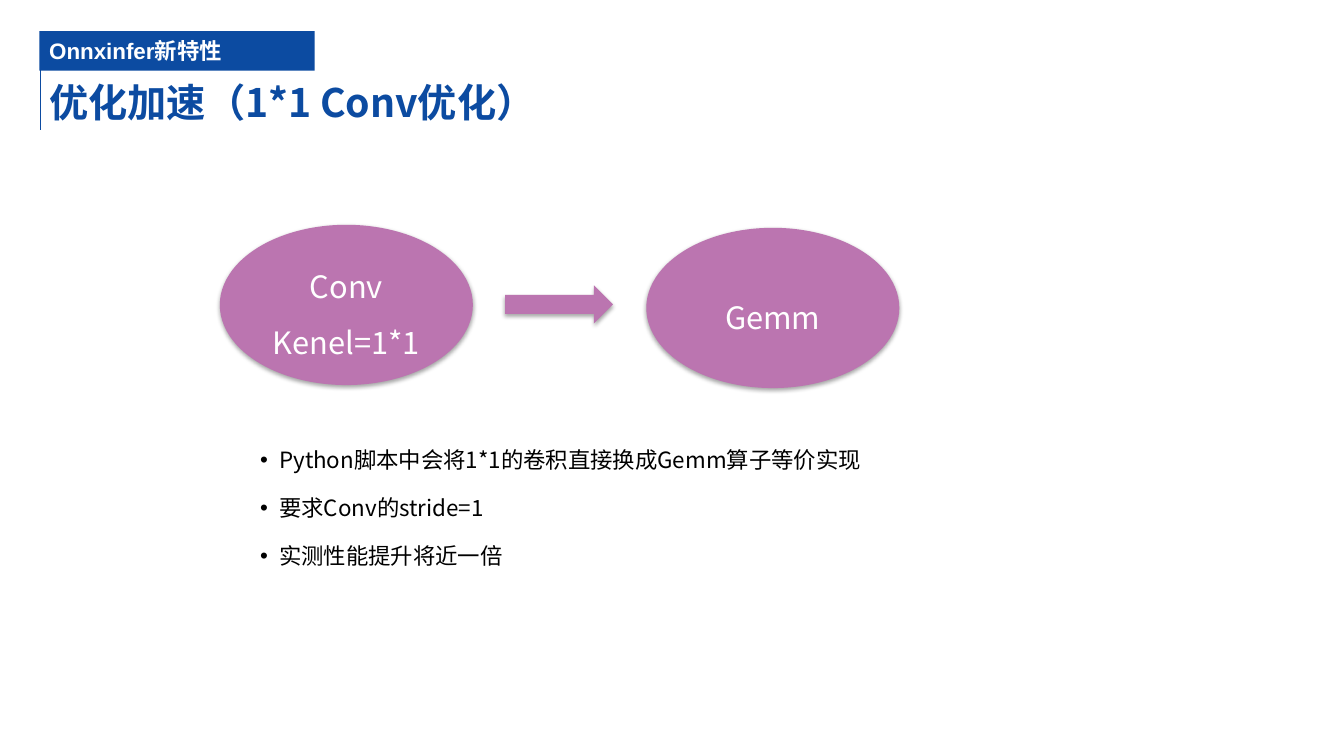
import pptx
import pptx.util
import pptx.dml.color
import pptx.enum.shapes
import pptx.enum.text
import pptx.oxml
import pptx.oxml.ns

BLUE, MAUVE, WHITE, BLACK = "0C4BA1", "BB75B0", "FFFFFF", "000000"
NOTO = "Noto Sans CJK SC"
KIND = pptx.enum.shapes.MSO_SHAPE
ALIGN = pptx.enum.text.PP_ALIGN
NS = pptx.oxml.ns.nsdecls("a")
SHADOW = (
    f'<a:effectLst {NS}><a:outerShdw blurRad="39370" dist="22860" dir="5400000" '
    'rotWithShape="0"><a:srgbClr val="000000"><a:alpha val="35000"/></a:srgbClr>'
    '</a:outerShdw></a:effectLst>'
)


def px(n):
    return pptx.util.Emu(n * 9144)


def color(code):
    return pptx.dml.color.RGBColor.from_string(code)


def place(shape, box):
    shape.left, shape.top, shape.width, shape.height = map(px, box)


def write(shape, lines, size, tint, bold=False, face=NOTO, align=ALIGN.LEFT,
          inset=(10, 5, 10, 5)):
    frame = shape.text_frame
    frame.text = "\n".join(lines)
    frame.word_wrap = True
    frame.auto_size = pptx.enum.text.MSO_AUTO_SIZE.NONE
    frame.vertical_anchor = pptx.enum.text.MSO_ANCHOR.MIDDLE
    (frame.margin_left, frame.margin_top,
     frame.margin_right, frame.margin_bottom) = map(px, inset)
    for para in frame.paragraphs:
        para.alignment = align
        for run in para.runs:
            font = run.font
            font.size = pptx.util.Pt(size)
            font.bold = bold
            font.name = face
            font.color.rgb = color(tint)
            font._element.find(pptx.oxml.ns.qn("a:latin")).addnext(
                pptx.oxml.parse_xml(f'<a:ea {NS} typeface="{NOTO}"/>'))
    return frame.paragraphs


def solid(slide, kind, box, fill, shade=False):
    shape = slide.shapes.add_shape(kind, *map(px, box))
    shape.fill.solid()
    shape.fill.fore_color.rgb = color(fill)
    shape.line.fill.background()
    if shade:
        shape._element.spPr.append(pptx.oxml.parse_xml(SHADOW))
    else:
        shape.shadow.inherit = False
    return shape


def header(slide, box):
    x, y, w, h = box
    rule = slide.shapes.add_connector(
        pptx.enum.shapes.MSO_CONNECTOR.STRAIGHT,
        *map(px, (x + 1, y + 2, x + 1, y + h)))
    rule.line.color.rgb = color(BLUE)
    rule.line.width = pptx.util.Pt(0.75)
    rule._element.spPr.append(pptx.oxml.parse_xml(f"<a:effectLst {NS}/>"))
    title = slide.shapes.title
    place(title, (x, y + 37, w, 66))
    write(title, ["优化加速（1*1 Conv优化）"], 28, BLUE, bold=True)
    tag = solid(slide, KIND.RECTANGLE, (x, y, 273, 39), BLUE)
    write(tag, ["Onnxinfer新特性"], 16, WHITE, bold=True, face="Arial")


def flow(slide, box):
    x, y, w, h = box
    wide, high = 251, 159
    nodes = [(x, y, ["Conv", "Kenel=1*1"]),
             (x + w - wide, y + h - high, ["Gemm"])]
    for left, top, lines in nodes:
        node = solid(slide, KIND.OVAL, (left, top, wide, high), MAUVE, True)
        for para in write(node, lines, 22, WHITE, align=ALIGN.CENTER):
            para.line_spacing = 1.5
    solid(slide, KIND.RIGHT_ARROW, (x + 283, y + 60, 107, 38), MAUVE, True)


def notes(slide, box):
    area = slide.shapes.add_textbox(*map(px, box))
    lines = ["Python脚本中会将1*1的卷积直接换成Gemm算子等价实现",
             "要求Conv的stride=1", "实测性能提升将近一倍"]
    paras = write(area, lines, 16, BLACK, inset=(7, 0, 0, 0))
    for spot, para in enumerate(paras):
        para.space_before = pptx.util.Pt(15 if spot else 0)
        props = para._p.get_or_add_pPr()
        props.set("marL", str(px(19)))
        props.set("indent", str(-px(19)))
        props.append(pptx.oxml.parse_xml(f'<a:buFont {NS} typeface="Arial"/>'))
        props.append(pptx.oxml.parse_xml(f'<a:buChar {NS} char="•"/>'))


def main():
    deck = pptx.Presentation()
    deck.slide_width, deck.slide_height = px(1333), px(750)
    slide = deck.slides.add_slide(deck.slide_layouts[5])
    header(slide, (39, 31, 1150, 98))
    flow(slide, (218, 223, 674, 162))
    notes(slide, (251, 415, 697, 177))
    deck.save("out.pptx")


if __name__ == "__main__":
    main()
